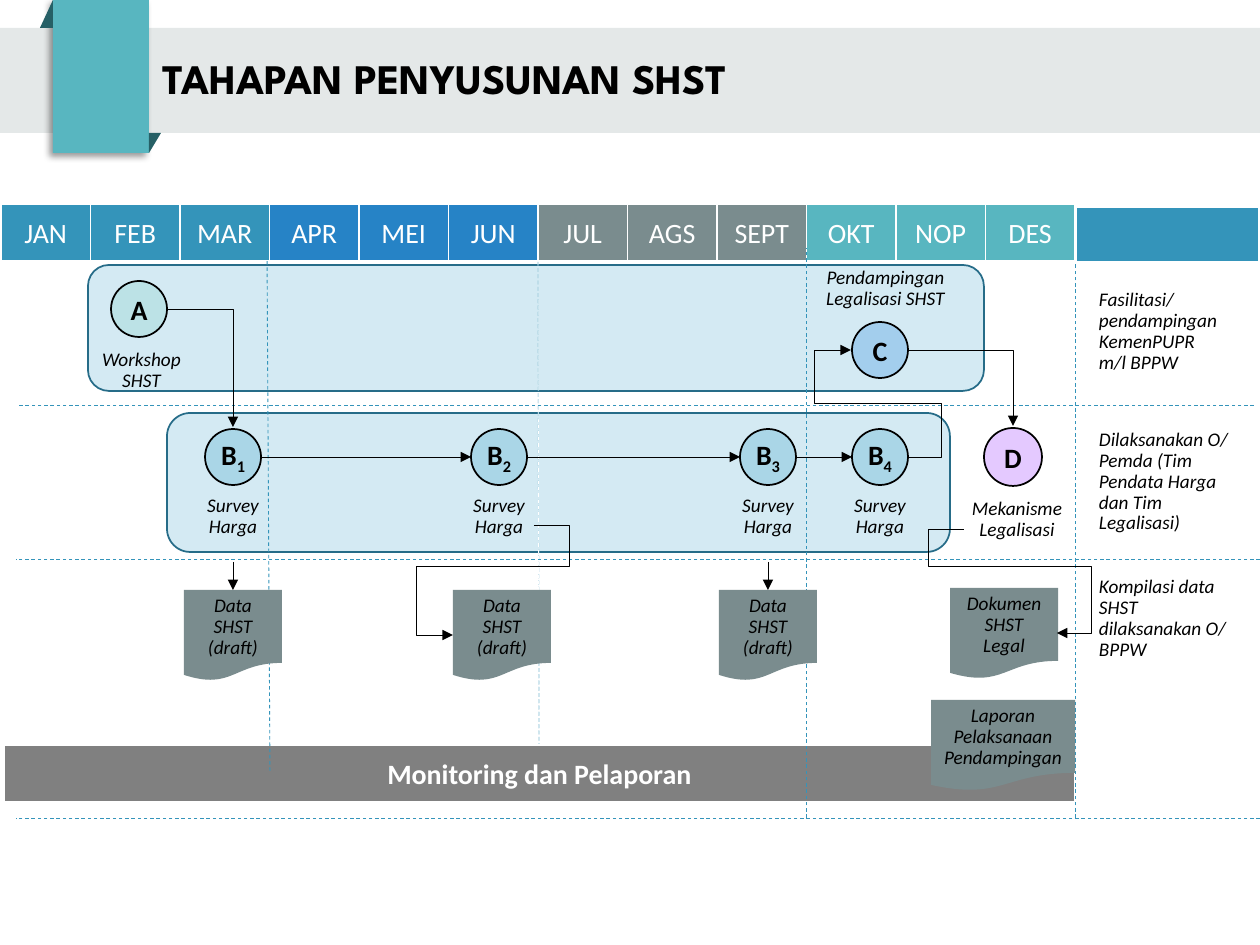
from lxml import etree
from pptx import Presentation
from pptx.dml.color import RGBColor
from pptx.enum.dml import MSO_LINE
from pptx.enum.shapes import MSO_CONNECTOR, MSO_SHAPE as Shape
from pptx.enum.text import MSO_ANCHOR as Anchor, PP_ALIGN as Align
from pptx.oxml.ns import qn
from pptx.util import Pt

PX = 914400 / 126
BLACK, WHITE, BLUE, TEAL, GREY = "000000", "FFFFFF", "3494BA", "58B6C0", "7A8C8E"
BAND, BAND_EDGE, FOLD, SURVEY = "D4EAF3", "266C88", "266060", "AAD6E7"
FOLD = "266066"

BIG = {"name": "Calibri", "size": Pt(16)}
BOLD = {**BIG, "bold": True}
NOTE = {"name": "Calibri", "size": Pt(11), "italic": True}
TITLE = {"name": "League Spartan", "size": Pt(24), "bold": True}

QUARTERS = [
    (BLUE, ["JAN", "FEB", "MAR"]),
    ("2683C6", ["APR", "MEI", "JUN"]),
    (GREY, ["JUL", "AGS", "SEPT"]),
    (TEAL, ["OKT", "NOP", "DES"]),
]
YEAR_LEFT, YEAR_WIDTH = 1, 1074

FOLDS = [
    [(53, 0), (53, 28), (40, 28)],
    [(149, 133), (161, 133), (149, 153)],
]
BANDS = [(88, 265, 896, 126), (167, 413, 783, 139)]

SURVEY_Y, RADIUS = 457, 28
SURVEY_CENTRES = [233, 499, 768, 880]
STEPS = [  # letter, subscript, centre x, centre y, radius, fill
    ("A", "", 139, 309, RADIUS, "BCE2E6"),
    ("C", "", 880, 350, RADIUS, "A3CEED"),
    ("D", "", 1013, SURVEY_Y, 29, "E4C9FF"),
] + [("B", str(n), x, SURVEY_Y, RADIUS, SURVEY) for n, x in enumerate(SURVEY_CENTRES, 1)]

STEP_NOTES = [
    ("Workshop SHST", (86, 344, 111, 54)),
    ("Mekanisme Legalisasi", (964, 493, 106, 54)),
    ("Pendampingan Legalisasi SHST", (808, 262, 155, 54)),
] + [("Survey Harga", (x - 34, 490, 68, 54)) for x in SURVEY_CENTRES]

ROW_NOTES = [
    ("Fasilitasi/ pendampingan KemenPUPR m/l BPPW", (1093, 284, 134, 97)),
    ("Dilaksanakan O/ Pemda (Tim Pendata Harga dan Tim Legalisasi)", (1093, 424, 149, 117)),
    ("Kompilasi data SHST dilaksanakan O/ BPPW", (1093, 571, 149, 97)),
]

DOCUMENTS = [  # text, place, fed by a straight arrow from above
    ("Data SHST (draft)", (184, 590, 98, 91), True),
    ("Data SHST (draft)", (453, 590, 98, 91), False),
    ("Data SHST (draft)", (719, 590, 98, 91), True),
    ("Dokumen SHST Legal", (950, 588, 108, 91), False),
    ("Laporan Pelaksanaan Pendampingan", (931, 700, 144, 91), False),
]

DASHES = [  # start, end, colour
    ((270, 771), (267, 248), BLUE),
    ((538, 262), (539, 744), BLUE),
    ((806, 818), (806, 248), BLUE),
    ((1076, 811), (1076, 219), WHITE),
    ((538, 262), (539, 744), WHITE),
    ((1254, 405), (19, 405), BLUE),
    ((1260, 559), (16, 559), BLUE),
    ((1075, 818), (1075, 263), BLUE),
    ((1260, 818), (16, 818), BLUE),
]
ELBOWS = [
    [(908, 350), (1013, 350), (1013, 426)],
    [(907, 457), (942, 457), (942, 403), (815, 403), (815, 350), (851, 350)],
    [(168, 309), (233, 309), (233, 427)],
    [(534, 525), (570, 525), (570, 566), (417, 566), (417, 635), (453, 635)],
    [(964, 529), (929, 529), (929, 566), (1092, 566), (1092, 633), (1057, 633)],
]

deck = Presentation()
deck.slide_width, deck.slide_height = round(1260 * PX), round(945 * PX)
page = deck.slides.add_slide(deck.slide_layouts[6])


def emu(values):
    return [round(value * PX) for value in values]


def rgb(code):
    return RGBColor.from_string(code)


def paint(shape, fill=None, edge=None, width=1):
    shape.shadow.inherit = False
    if fill:
        shape.fill.solid()
        shape.fill.fore_color.rgb = rgb(fill)
    else:
        shape.fill.background()
    if edge:
        shape.line.color.rgb = rgb(edge)
        shape.line.width = Pt(width)
    else:
        shape.line.fill.background()


def write(shape, text, style, colour=BLACK, align=Align.CENTER, anchor=Anchor.MIDDLE,
          spacing=None, subscript="", wrap=True, inset=6, inset_y=6, left=None):
    frame = shape.text_frame
    frame.word_wrap, frame.vertical_anchor = wrap, anchor
    frame.margin_left, frame.margin_right, frame.margin_top, frame.margin_bottom = emu(
        [inset if left is None else left, inset, inset_y, inset_y])
    para = frame.paragraphs[0]
    para.alignment = align
    if spacing:
        para.line_spacing = spacing
    for part in filter(None, [text, subscript]):
        span = para.add_run()
        span.text = part
        span.font.color.rgb = rgb(colour)
        for name, value in style.items():
            setattr(span.font, name, value)
    if subscript:
        span._r.get_or_add_rPr().set("baseline", "-25000")


def add_box(kind, place, fill, edge=None):
    box = page.shapes.add_shape(kind, *emu(place))
    paint(box, fill, edge)
    return box


def add_note(text, place, align):
    box = page.shapes.add_textbox(*emu(place))
    write(box, text, NOTE, align=align, anchor=Anchor.TOP, spacing=0.9)


def add_outline(points, closed):
    builder = page.shapes.build_freeform(*points[0], scale=PX)
    builder.add_line_segments(points[1:], close=closed)
    return builder.convert_to_shape()


def add_line(start, end, colour):
    line = page.shapes.add_connector(MSO_CONNECTOR.STRAIGHT, *emu(start + end))
    line.line.color.rgb = rgb(colour)
    line.line.width = Pt(0.5)
    etree.SubElement(line._element.spPr, qn("a:effectLst"))
    return line


def add_arrowhead(shape):
    etree.SubElement(shape.line._get_or_add_ln(), qn("a:tailEnd"), type="triangle")


def add_drop_shadow(shape):
    effects = shape._element.spPr.find(qn("a:effectLst"))
    shadow = etree.SubElement(effects, qn("a:outerShdw"), blurRad=str(Pt(4)), dist=str(Pt(3)),
                              dir="8100000", algn="tr", rotWithShape="0")
    black = etree.SubElement(shadow, qn("a:srgbClr"), val=BLACK)
    etree.SubElement(black, qn("a:alpha"), val="40000")


title = add_box(Shape.RECTANGLE, (0, 28, 1260, 105), "E4E8E8")
write(title, "TAHAPAN PENYUSUNAN SHST", TITLE, align=Align.LEFT, spacing=0.9, left=163)
ribbon = add_box(Shape.RECTANGLE, (53, 0, 96, 153), TEAL)
add_drop_shadow(ribbon)
for points in FOLDS:
    paint(add_outline(points, True), FOLD)

for place in BANDS:
    add_box(Shape.ROUNDED_RECTANGLE, place, BAND, BAND_EDGE)

add_box(Shape.RECTANGLE, (1076, 207, 183, 55), BLUE, WHITE)
months = [(month, fill) for fill, names in QUARTERS for month in names]
month_width = YEAR_WIDTH / len(months)
for index, (month, fill) in enumerate(months):
    place = (YEAR_LEFT + index * month_width, 204, month_width, 57)
    write(add_box(Shape.RECTANGLE, place, fill, WHITE), month, BIG, WHITE)
monitoring = add_box(Shape.RECTANGLE, (4, 745, 1071, 57), "808080", WHITE)
write(monitoring, "Monitoring dan Pelaporan", BOLD, WHITE)

for start, end, colour in DASHES:
    add_line(start, end, colour).line.dash_style = MSO_LINE.DASH

for letter, subscript, x, y, radius, fill in STEPS:
    circle = add_box(Shape.OVAL, (x - radius, y - radius, 2 * radius, 2 * radius), fill, BLACK)
    write(circle, letter, BOLD, subscript=subscript, wrap=False, inset=0, inset_y=0)
for x, next_x in zip(SURVEY_CENTRES, SURVEY_CENTRES[1:]):
    add_arrowhead(add_line((x + RADIUS, SURVEY_Y), (next_x - RADIUS, SURVEY_Y), BLACK))

for notes, align in [(STEP_NOTES, Align.CENTER), (ROW_NOTES, Align.LEFT)]:
    for text, place in notes:
        add_note(text, place, align)

for text, place, has_arrow in DOCUMENTS:
    document = add_box(Shape.FLOWCHART_DOCUMENT, place, GREY)
    write(document, text, NOTE, anchor=Anchor.TOP, spacing=0.9, inset=12)
    if has_arrow:
        left, top, width, _ = place
        middle = left + width / 2
        arrow = add_line((middle, 562), (middle, top), BLACK)
        arrow.end_connect(document, 0)
        add_arrowhead(arrow)

for points in ELBOWS:
    elbow = add_outline(points, False)
    paint(elbow, edge=BLACK, width=0.5)
    add_arrowhead(elbow)

deck.save("out.pptx")
